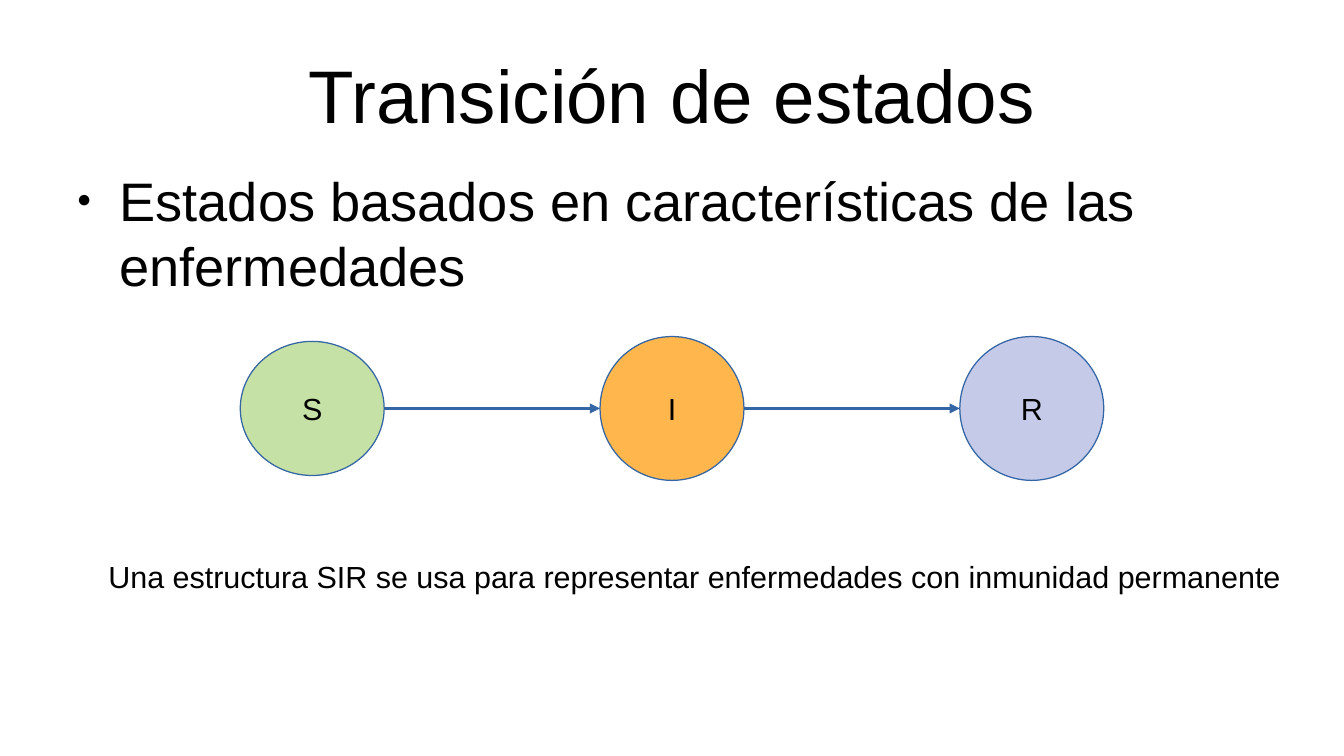
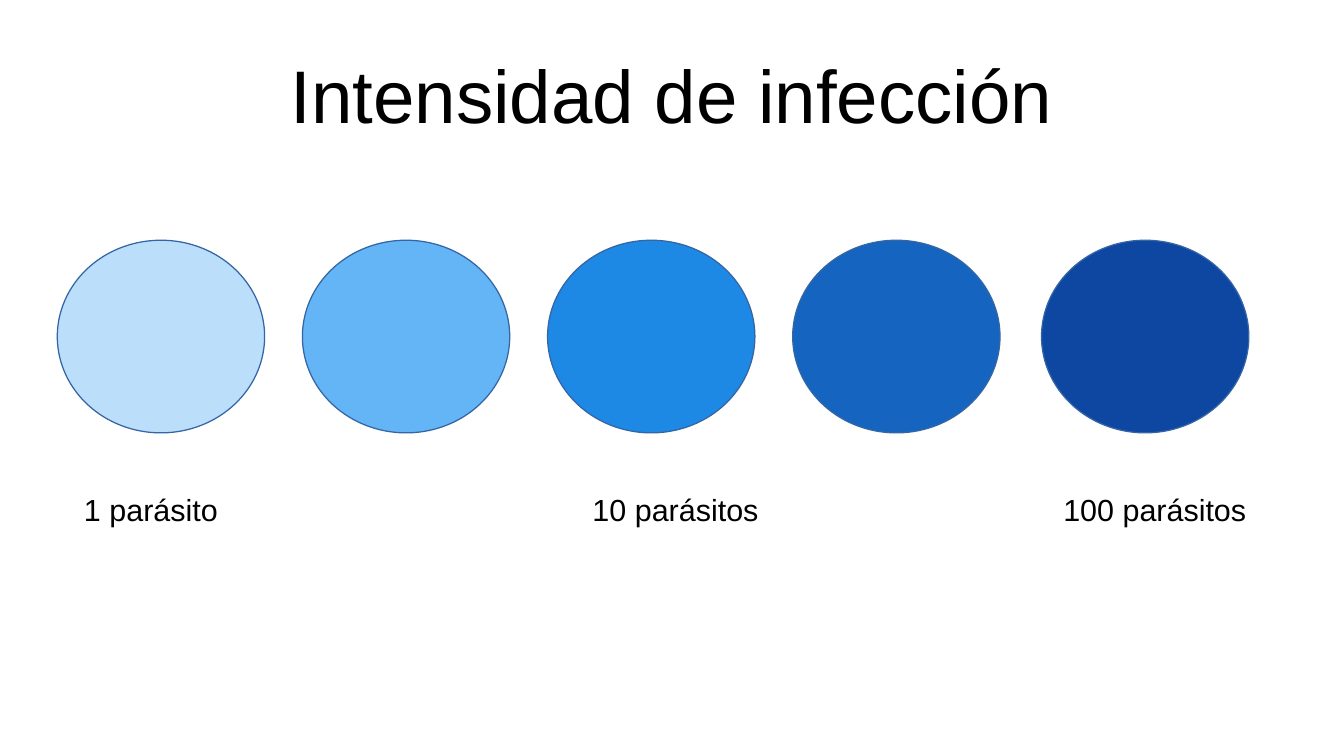
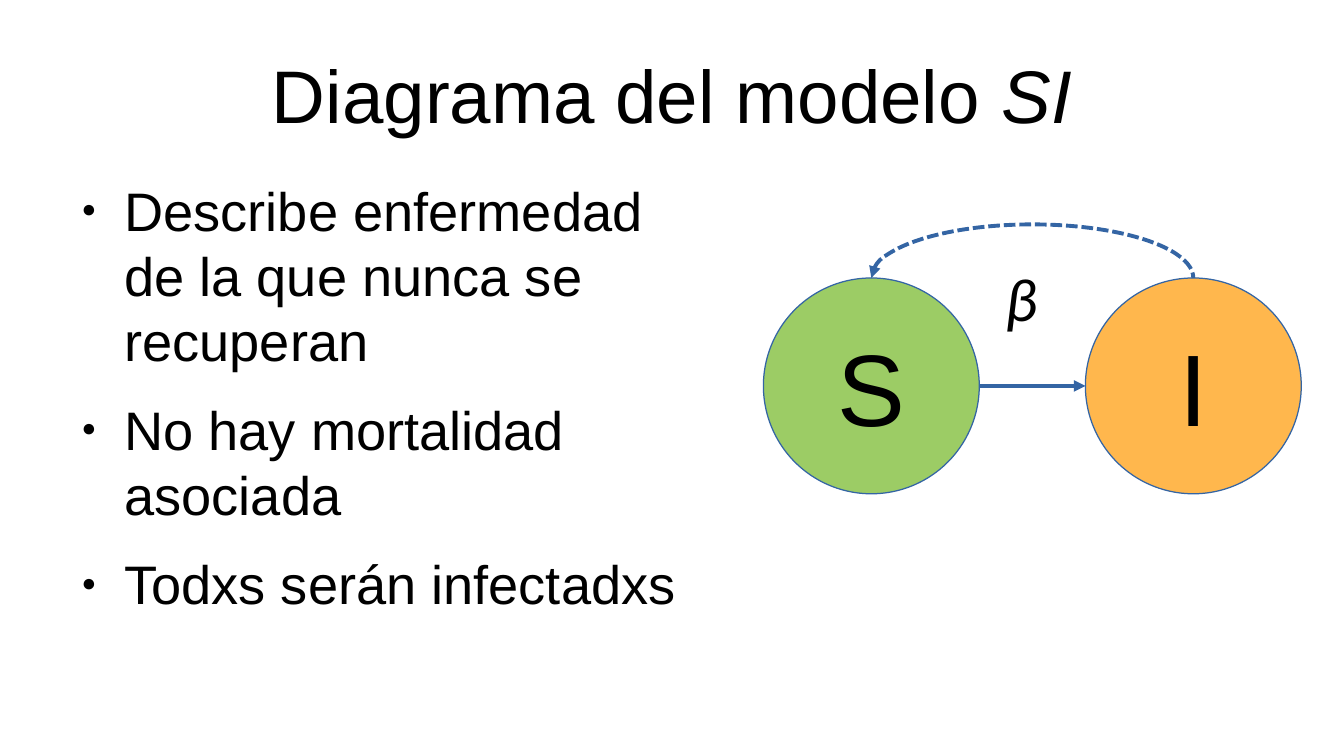
from lxml import etree
from pptx import Presentation
from pptx import util as u
from pptx.dml.color import RGBColor
from pptx.enum import dml, shapes, text
from pptx.oxml.ns import qn

# Shared look
COLORS = {
    "text": "000000", "line": "3465A4",
    "pale green": "C5E1A5", "green": "9CCC65", "orange": "FFB74D", "lilac": "C5CAE9",
    "blue 1": "BBDEFB", "blue 2": "64B5F6", "blue 3": "1E88E5",
    "blue 4": "1565C0", "blue 5": "0D47A1",
}
FONT = "Arial"
TITLE_BOX = (0.55, 0.25, 9.92, 1.04)
TITLE_SIZE, BODY_SIZE, LABEL_SIZE = 44, 32, 18
NO_INSETS, INSETS = (0, 0), (0.1, 0.05)
ARROW_WIDTH = 2.3

# Slide 1: states as (letter, colour, box)
STATES = [
    ("S", "pale green", (1.97, 2.8, 1.18, 1.1)),
    ("I", "orange", (4.92, 2.76, 1.18, 1.18)),
    ("R", "lilac", (7.87, 2.76, 1.18, 1.18)),
]
STATE_POINTS = ["Estados basados en características de las enfermedades"]
SIR_NOTE = "Una estructura SIR se usa para representar enfermedades con inmunidad permanente"

# Slide 2: left edge of each circle, and labels as (text, left, width)
INTENSITIES = [("blue 1", 0.47), ("blue 2", 2.48), ("blue 3", 4.49),
               ("blue 4", 6.5), ("blue 5", 8.54)]
PARASITE_LABELS = [("1 parásito", 0.59, 1.38), ("10 parásitos", 4.76, 1.73),
                   ("100 parásitos", 8.62, 1.73)]

# Slide 3
SI_POINTS = ["Describe enfermedad de la que nunca se recuperan",
             "No hay mortalidad asociada", "Todxs serán infectadxs"]
SI_STATES = [("S", "green", (6.26, 2.28, 1.77, 1.77)),
             ("I", "orange", (8.9, 2.28, 1.77, 1.77))]
ARC_RISE = 0.44


def rgb(name):
    return RGBColor.from_string(COLORS[name])


def inches(values):
    return [u.Inches(v) for v in values]


def add_run(p, words, size, italic=False, font=FONT):
    r = p.add_run()
    r.text = words
    for name, value in {"name": font, "size": u.Pt(size), "italic": italic}.items():
        setattr(r.font, name, value)
    r.font.color.rgb = rgb("text")


def set_frame(tf, insets, anchor=text.MSO_ANCHOR.TOP):
    dx, dy = inches(insets)
    fmt = {"margin_left": dx, "margin_right": dx, "margin_top": dy, "margin_bottom": dy,
           "word_wrap": True, "vertical_anchor": anchor}
    for name, value in fmt.items():
        setattr(tf, name, value)


def add_text(s, box, words, size=LABEL_SIZE, **style):
    tf = s.shapes.add_textbox(*inches(box)).text_frame
    set_frame(tf, INSETS)
    add_run(tf.paragraphs[0], words, size, **style)


def add_slide(prs, title, italic_end=""):
    s = prs.slides.add_slide(prs.slide_layouts[6])
    tf = s.shapes.add_textbox(*inches(TITLE_BOX)).text_frame
    set_frame(tf, NO_INSETS, text.MSO_ANCHOR.MIDDLE)
    p = tf.paragraphs[0]
    p.alignment = text.PP_ALIGN.CENTER
    add_run(p, title, TITLE_SIZE)
    if italic_end:
        add_run(p, italic_end, TITLE_SIZE, italic=True)
    return s


def add_bullets(s, box, points):
    tf = s.shapes.add_textbox(*inches(box)).text_frame
    set_frame(tf, NO_INSETS)
    for i, point in enumerate(points):
        p = tf.add_paragraph() if i else tf.paragraphs[0]
        p.space_before = u.Pt(14.2)
        add_run(p, point, BODY_SIZE)
        pPr = p._p.get_or_add_pPr()
        pPr.set("marL", str(u.Inches(0.47)))
        pPr.set("indent", str(u.Inches(-0.35)))
        color = etree.SubElement(pPr, qn("a:buClr"))
        etree.SubElement(color, qn("a:srgbClr"), val=COLORS["text"])
        etree.SubElement(pPr, qn("a:buSzPct"), val="45000")
        etree.SubElement(pPr, qn("a:buFont"), typeface=FONT)
        etree.SubElement(pPr, qn("a:buChar"), char="●")


def add_circle(s, box, color, letter="", size=LABEL_SIZE):
    sp = s.shapes.add_shape(shapes.MSO_SHAPE.OVAL, *inches(box))
    sp.shadow.inherit = False
    sp.fill.solid()
    sp.fill.fore_color.rgb = rgb(color)
    style_line(sp, 0)
    if letter:
        set_frame(sp.text_frame, INSETS, text.MSO_ANCHOR.MIDDLE)
        p = sp.text_frame.paragraphs[0]
        p.alignment = text.PP_ALIGN.CENTER
        add_run(p, letter, size)


def style_line(sp, width, arrow_end=None):
    sp.line.color.rgb = rgb("line")
    sp.line.width = u.Pt(width)
    if arrow_end:
        etree.SubElement(sp.line._get_or_add_ln(), qn(arrow_end), type="triangle")


def add_arrow(s, x1, x2, y, width):
    cx = s.shapes.add_connector(shapes.MSO_CONNECTOR.STRAIGHT, *inches((x1, y, x2, y)))
    style_line(cx, width, "a:tailEnd")
    etree.SubElement(cx._element.spPr, qn("a:effectLst"))


def add_chain(s, states, size, arrow_width):
    """Draw the states and an arrow from each one to the next."""
    for letter, color, box in states:
        add_circle(s, box, color, letter, size)
    for (_, _, a), (_, _, b) in zip(states, states[1:]):
        add_arrow(s, a[0] + a[2], b[0], b[1] + b[3] / 2, arrow_width)


def add_return_arc(s, target, source):
    """Dashed half ellipse from the top of source back to the top of target."""
    left, right = (box[0] + box[2] / 2 for box in (target, source))
    box = (left, target[1] - ARC_RISE, right - left, 2 * ARC_RISE)
    arc = s.shapes.add_shape(shapes.MSO_SHAPE.ARC, *inches(box))
    arc.shadow.inherit = False
    arc.fill.background()
    arc.adjustments[0] = 108  # 180 degrees
    arc.adjustments[1] = 0
    arc.line.dash_style = dml.MSO_LINE.SQUARE_DOT
    style_line(arc, ARROW_WIDTH, "a:headEnd")


def main():
    prs = Presentation()
    prs.slide_width, prs.slide_height = inches((11.02, 6.2))

    # State transition
    s = add_slide(prs, "Transición de estados")
    add_bullets(s, (0.51, 1.37, 9.92, 3.6), STATE_POINTS)
    add_chain(s, STATES, LABEL_SIZE, 0)
    add_text(s, (0.79, 4.53, 9.84, 0.38), SIR_NOTE)

    # Infection intensity
    s = add_slide(prs, "Intensidad de infección")
    for color, left in INTENSITIES:
        add_circle(s, (left, 1.97, 1.7, 1.58), color)
    for words, left, width in PARASITE_LABELS:
        add_text(s, (left, 3.98, width, 0.94), words)

    # SI model
    s = add_slide(prs, "Diagrama del modelo ", "SI")
    add_bullets(s, (0.55, 1.45, 5.16, 4.45), SI_POINTS)
    add_chain(s, SI_STATES, 60, ARROW_WIDTH)
    add_return_arc(s, SI_STATES[0][2], SI_STATES[1][2])
    add_text(s, (8.15, 2.09, 0.39, 0.78), "β", 36, italic=True, font="Calibri")

    prs.save("out.pptx")


if __name__ == "__main__":
    main()
